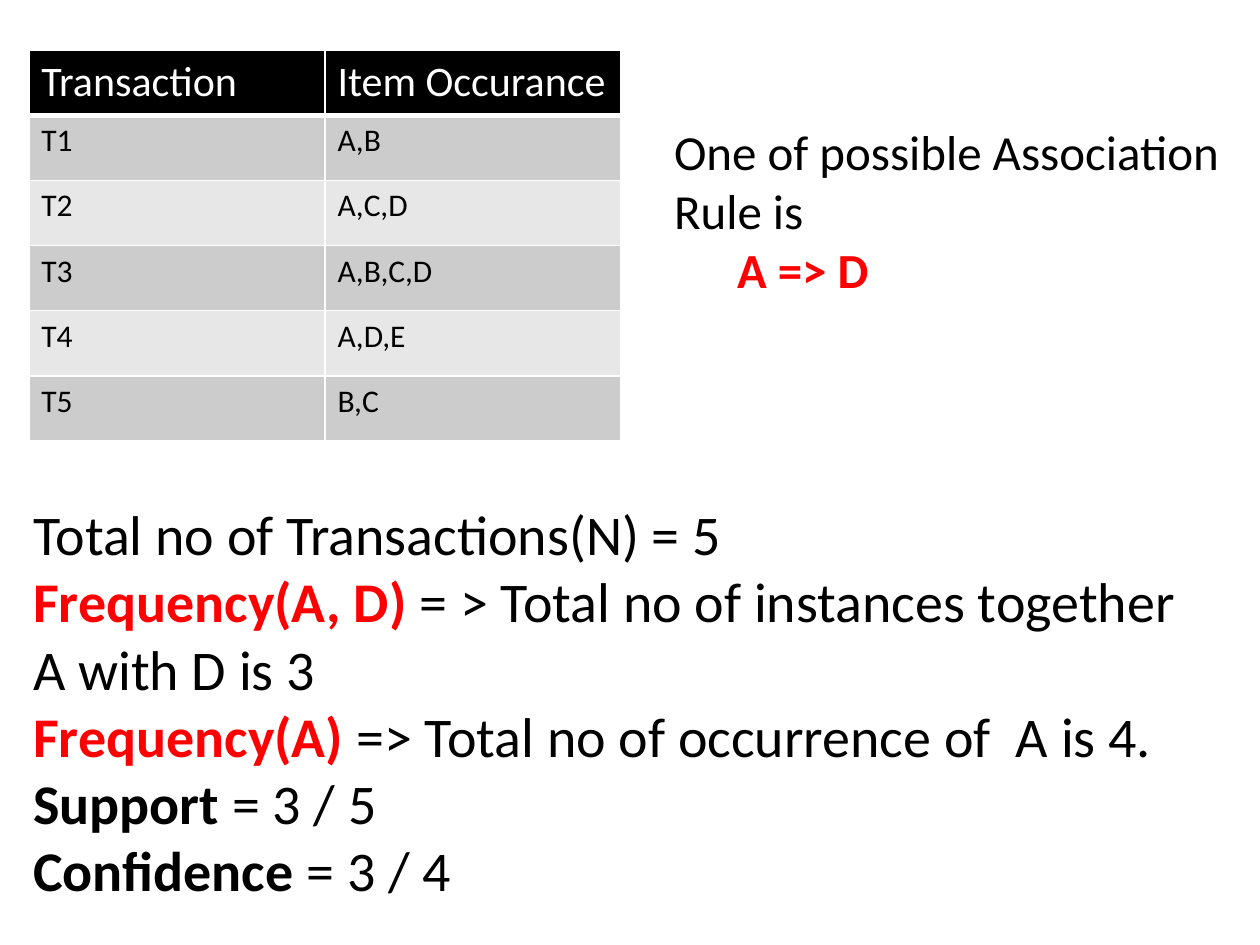
from dataclasses import dataclass

from lxml.etree import SubElement
from pptx import Presentation
from pptx.dml.color import RGBColor as Rgb
from pptx.enum.text import MSO_AUTO_SIZE as AutoSize
from pptx.oxml.ns import qn
from pptx.util import Cm, Pt


@dataclass(frozen=True)
class Theme:
    font: str = "Calibri"
    ink: str = "000000"
    paper: str = "FFFFFF"
    accent: str = "FF0000"
    odd_row: str = "CCCCCC"
    even_row: str = "E7E7E7"
    header_size: int = 24
    cell_size: int = 18
    rule_size: int = 28
    working_size: int = 32
    grid_line: int = 1
    header_line: int = 3


THEME = Theme()

TRANSACTIONS = [
    ("Transaction", "Item Occurance"),
    ("T1", "A,B"),
    ("T2", "A,C,D"),
    ("T3", "A,B,C,D"),
    ("T4", "A,D,E"),
    ("T5", "B,C"),
]

PLAIN, STRONG, KEY = (THEME.ink, False), (THEME.ink, True), (THEME.accent, True)

RULE = [
    [("One of possible Association Rule is", PLAIN)],
    [("\t", PLAIN), ("A => D", KEY)],
]

WORKING = [
    [("Total no of Transactions(N) = 5", PLAIN)],
    [("Frequency(A, D) ", KEY),
     ("= > Total no of instances together A with D is 3", PLAIN)],
    [("Frequency(A)", KEY), (" => Total no of occurrence of  A is 4.", PLAIN)],
    [("Support ", STRONG), ("= 3 / 5", PLAIN)],
    [("Confidence", STRONG), (" = 3 / 4", PLAIN)],
]


def style_run(run, size, color, bold=False):
    run.font.name = THEME.font
    run.font.size = Pt(size)
    run.font.bold = bold
    run.font.color.rgb = Rgb.from_string(color)


def draw_borders(cell, bottom_width):
    properties = cell._tc.get_or_add_tcPr()
    widths = {"a:lnL": THEME.grid_line, "a:lnR": THEME.grid_line,
              "a:lnT": THEME.grid_line, "a:lnB": bottom_width}
    for position, (side, width) in enumerate(widths.items()):
        border = SubElement(properties, qn(side), w=str(Pt(width)))
        fill = SubElement(border, qn("a:solidFill"))
        SubElement(fill, qn("a:srgbClr"), val=THEME.paper)
        properties.insert(position, border)


def add_transactions(slide, left, top, width, height):
    row_count, column_count = len(TRANSACTIONS), len(TRANSACTIONS[0])
    table = slide.shapes.add_table(
        row_count, column_count, left, top, width, height).table
    for row, values in enumerate(TRANSACTIONS):
        if row == 0:
            fill, color, size = THEME.ink, THEME.paper, THEME.header_size
        else:
            fill = THEME.odd_row if row % 2 else THEME.even_row
            color, size = THEME.ink, THEME.cell_size
        for column, value in enumerate(values):
            cell = table.cell(row, column)
            cell.text_frame.text = value
            style_run(cell.text_frame.paragraphs[0].runs[0], size, color)
            cell.fill.solid()
            cell.fill.fore_color.rgb = Rgb.from_string(fill)
            draw_borders(cell, THEME.grid_line if row else THEME.header_line)


def add_statements(slide, statements, size, left, top, width, height):
    frame = slide.shapes.add_textbox(left, top, width, height).text_frame
    frame.word_wrap = True
    frame.auto_size = AutoSize.SHAPE_TO_FIT_TEXT
    for index, parts in enumerate(statements):
        paragraph = frame.add_paragraph() if index else frame.paragraphs[0]
        for text, (color, bold) in parts:
            run = paragraph.add_run()
            run.text = text
            style_run(run, size, color, bold)


def main():
    deck = Presentation()
    deck.slide_width, deck.slide_height = Cm(25.4), Cm(19.05)
    slide = deck.slides.add_slide(deck.slide_layouts.get_by_name("Blank"))
    add_statements(slide, WORKING, THEME.working_size,
                   Cm(0.42), Cm(9.95), Cm(24.13), Cm(8.46))
    add_transactions(slide, Cm(0.58), Cm(1.02), Cm(11.94), Cm(7.87))
    add_statements(slide, RULE, THEME.rule_size,
                   Cm(13.34), Cm(2.33), Cm(11.64), Cm(3.84))
    deck.save("out.pptx")


if __name__ == "__main__":
    main()
